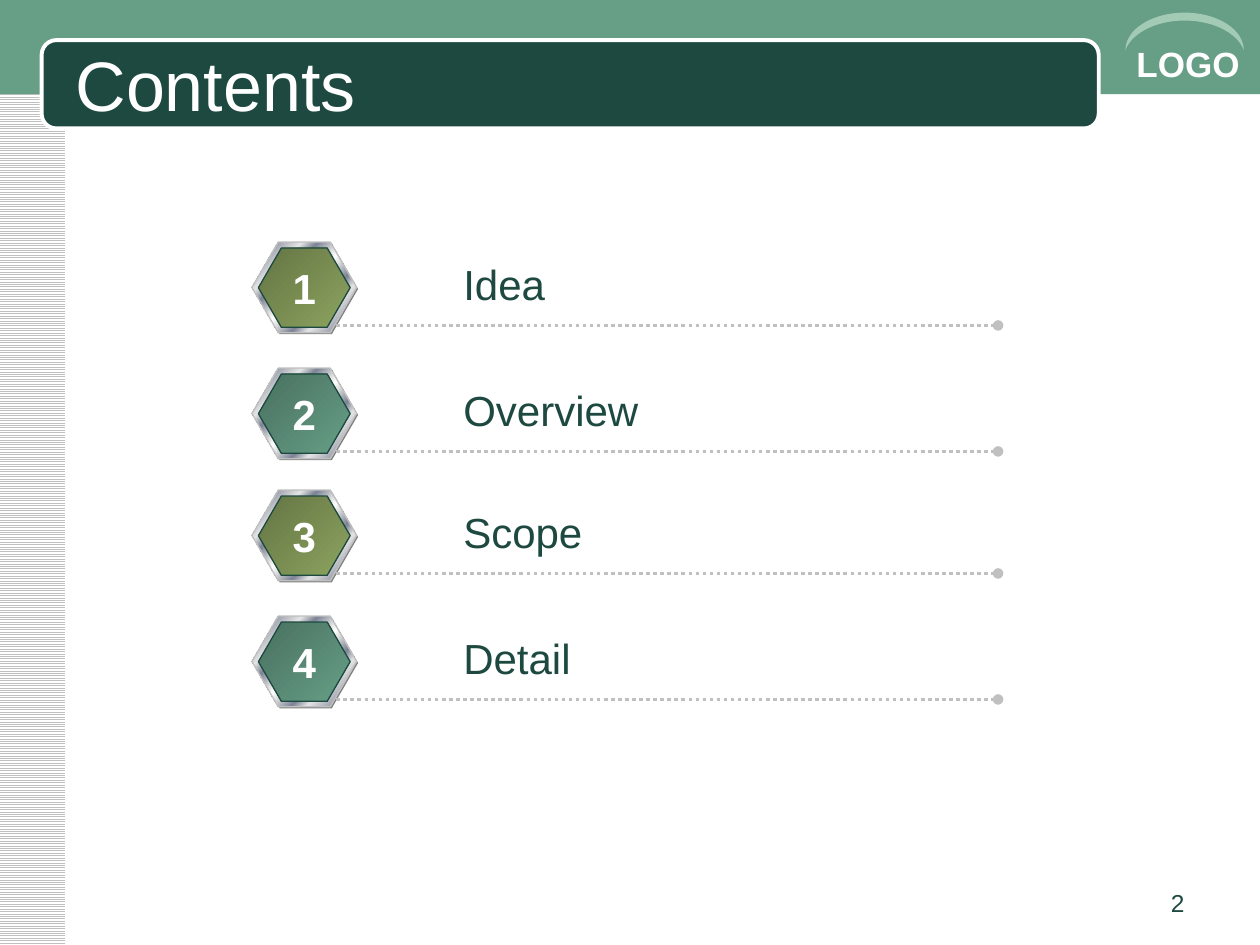
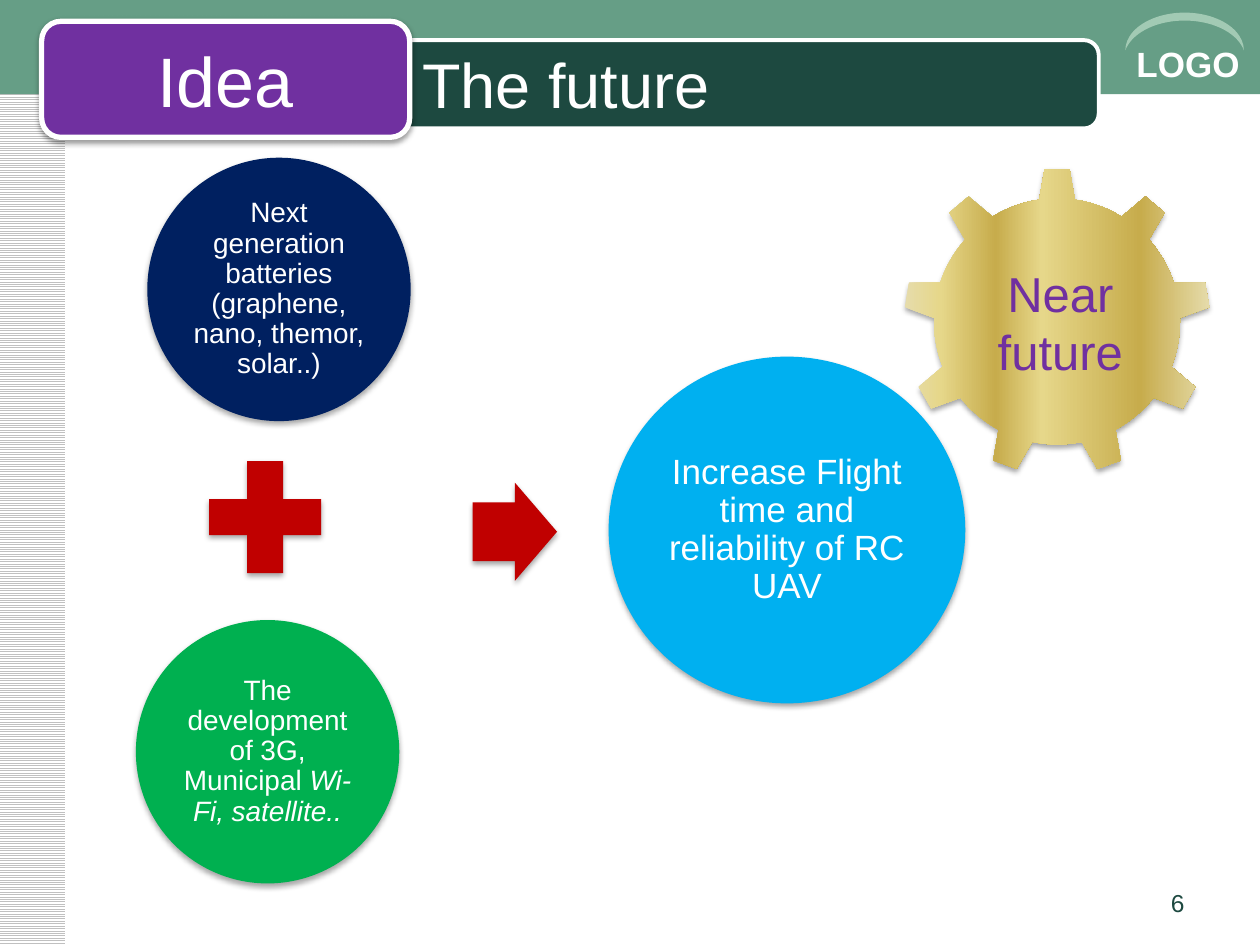
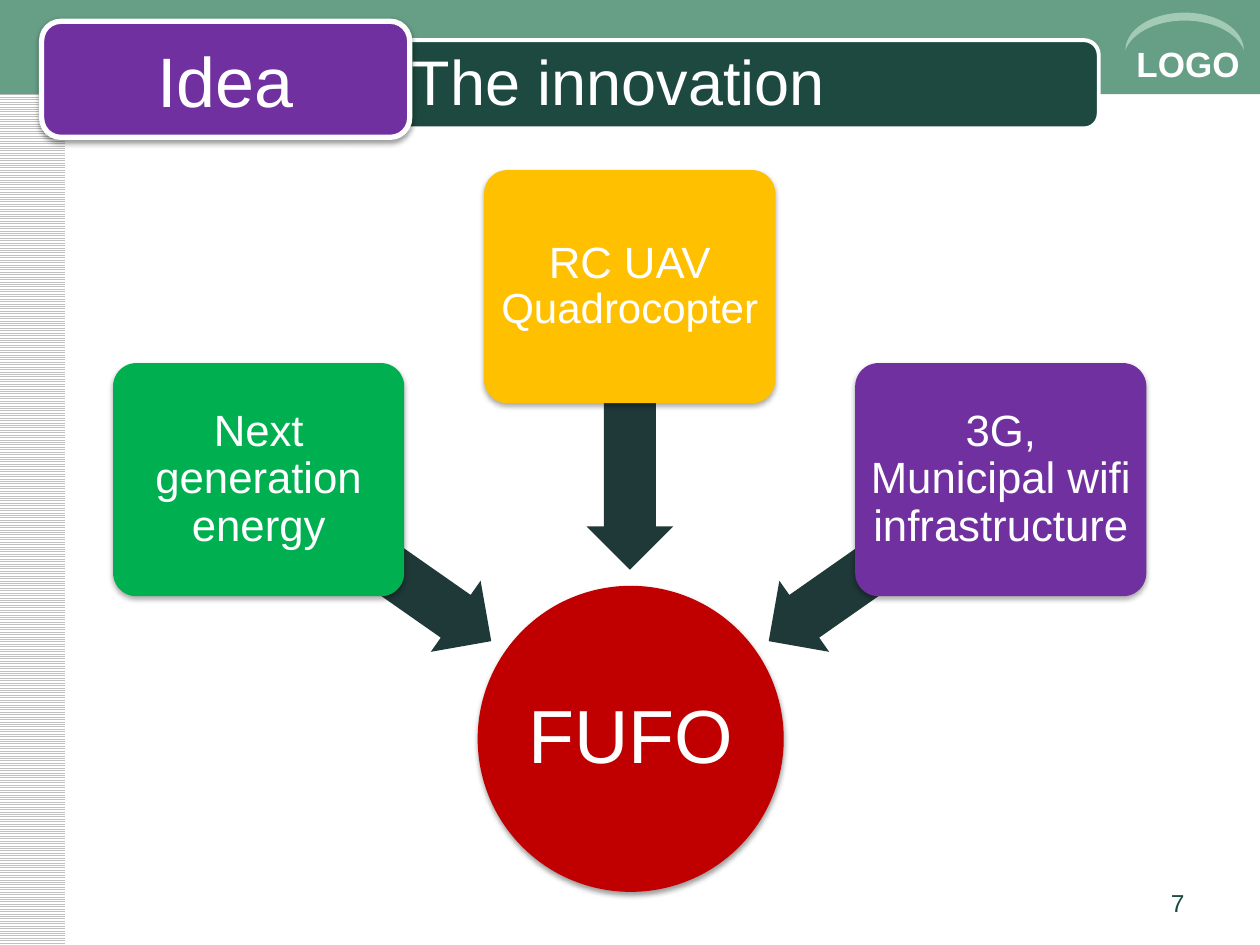
from pptx import Presentation
from pptx.dml.color import RGBColor
from pptx.enum.dml import MSO_LINE as Dash, MSO_PATTERN as Pat
from pptx.enum.shapes import MSO_CONNECTOR as Link, MSO_SHAPE as Kind
from pptx.enum.text import MSO_ANCHOR as Anchor, MSO_AUTO_SIZE as Auto, PP_ALIGN as Align
from pptx.oxml.ns import qn
from pptx.util import Cm, Pt
from lxml.etree import SubElement as Sub

WHITE, DARK, SAGE, MINT, GREY = "FFFFFF", "1D4940", "669E86", "A2CAB4", "C0C0C0"
PURPLE, RED, GREEN, SLATE = "7030A0", "C00000", "00B050", "1F3938"
STEEL = [(0, "E6E6E6"), (8, "7D8496"), (26, "E6E6E6"), (34, "7D8496"),
         (46, "E6E6E6"), (50, WHITE), (54, "E6E6E6"), (66, "7D8496"),
         (74, "E6E6E6"), (92, "7D8496"), (100, "E6E6E6")]
GOLD = [(0, "E6DCAC"), (12, "E6D78A"), (30, "C7AC4C"), (45, "E6D78A"),
        (77, "C7AC4C"), (100, "E6DCAC")]
FACES = [[(0, "647544"), (100, "8CA35F")], [(0, "497160"), (100, SAGE)]]

TOPICS = [("Idea", 4.88), ("Overview", 7.42), ("Scope", 9.88), ("Detail", 12.42)]
PARTS = [
    (Kind.OVAL, (2.97, 3.18, 5.31, 5.31), "002060", 16,
     "Next generation batteries (graphene, nano, themor, solar..)"),
    (Kind.OVAL, (12.27, 7.19, 7.19, 6.99), "00B0F0", 20,
     "Increase Flight time and reliability of RC UAV"),
    (Kind.MATH_PLUS, (3.81, 8.89, 3.07, 3.07), RED, 16, ""),
    (Kind.OVAL, (2.74, 12.5, 5.31, 5.31), GREEN, 16,
     [("The development of 3G, Municipal ", {}),
      ("Wi-Fi, satellite..", {"italic": True})]),
    (Kind.RIGHT_ARROW, (9.53, 9.73, 1.7, 1.98), RED, 16, ""),
]
CARDS = [
    ("Next generation energy", GREEN, 7.32, 10.41, 215),
    ([("RC UAV ", {}), ("Quadrocopter", {"size": Pt(24)})], "FFC000", 3.43, 7.75, 270),
    ("3G, Municipal wifi infrastructure", PURPLE, 7.32, 10.41, 325),
]


def hue(code):
    return RGBColor.from_string(code)


def write(frame, text, size, color=WHITE, align=Align.LEFT, anchor=Anchor.TOP,
          wrap=True, pad=None, gap=None, **more):
    look = {"auto_size": Auto.NONE, "word_wrap": wrap, "vertical_anchor": anchor}
    if pad is not None:
        look |= {"margin_" + side: Cm(pad) for side in ("left", "top", "right", "bottom")}
    for key, val in look.items():
        setattr(frame, key, val)
    para = frame.paragraphs[0]
    para.alignment, para.line_spacing = align, gap
    for words, extra in [(text, {})] if isinstance(text, str) else text:
        run = para.add_run()
        run.text = words
        run.font.color.rgb = hue(color)
        for key, val in ({"name": "Arial", "size": Pt(size)} | more | extra).items():
            setattr(run.font, key, val)


def label(slide, box, text, size, **look):
    item = slide.shapes.add_textbox(*map(Cm, box))
    write(item.text_frame, text, size, **look)
    return item


def blend(item, stops, angle):
    item.fill.gradient()
    item.fill.gradient_angle = angle
    rows = item.element.spPr.find(".//" + qn("a:gsLst"))
    for old in list(rows):
        rows.remove(old)
    for place, code in stops:
        stop = Sub(rows, qn("a:gs"), pos=str(place * 1000))
        Sub(stop, qn("a:srgbClr"), val=code)


def shade(item, alpha, dist):
    root = item.element.spPr.find(qn("a:effectLst"))
    cast = Sub(root, qn("a:outerShdw"), blurRad="40000", dist=str(dist),
               dir="5400000", rotWithShape="0")
    tone = Sub(cast, qn("a:srgbClr"), val="000000")
    Sub(tone, qn("a:alpha"), val=str(alpha * 1000))


def put(slide, kind, box, fill, edge=None, adj=None, turn=0, angle=0, cast=None):
    item = slide.shapes.add_shape(kind, *map(Cm, box))
    item.rotation = turn
    if adj is not None:
        item.adjustments[0] = adj
    if isinstance(fill, str):
        item.fill.solid()
        item.fill.fore_color.rgb = hue(fill)
    else:
        blend(item, fill, angle)
    if edge:
        item.line.color.rgb, item.line.width = hue(edge[0]), Pt(edge[1])
    else:
        item.line.fill.background()
    item.shadow.inherit = False
    if cast:
        shade(item, *cast)
    return item


SOFT, DEEP = (35, 23000), (38, 20000)
MID = {"align": Align.CENTER, "anchor": Anchor.MIDDLE}
SNUG = MID | {"pad": 0.05, "gap": 0.9}


def frame(deck, slide):
    """Build the shared bands on a slide and move them to the master."""
    side = put(slide, Kind.RECTANGLE, (-0.03, 0, 1.35, 19.05), WHITE)
    side.fill.patterned()
    side.fill.pattern = Pat.LIGHT_HORIZONTAL
    side.fill.fore_color.rgb, side.fill.back_color.rgb = hue(GREY), hue(WHITE)
    band = put(slide, Kind.RECTANGLE, (0, 0, 25.43, 1.9), SAGE)
    bar = put(slide, Kind.ROUNDED_RECTANGLE, (0.84, 0.81, 21.31, 1.78), DARK, (WHITE, 2.25))
    mark = label(slide, (22.66, 0.74, 2.74, 1.09), "LOGO", 20, bold=True)
    arc = put(slide, Kind.MOON, (23.5, -0.56, 0.76, 2.39), MINT, adj=0.21, turn=90)
    tree = deck.slide_master.shapes.element
    for spot, item in enumerate((side, band, bar, mark, arc), 2):
        tree.insert(spot, item.element)


def start(deck, title, page, box, size):
    slide = deck.slides.add_slide(deck.slide_layouts[5])
    head = slide.shapes.title
    for key, val in zip(("left", "top", "width", "height"), box):
        setattr(head, key, Cm(val))
    write(head.text_frame, title, size, anchor=Anchor.MIDDLE)
    label(slide, (18.21, 17.78, 5.92, 0.89), page, 14, color=DARK, align=Align.RIGHT)
    return slide


def tag(slide):
    item = put(slide, Kind.ROUNDED_RECTANGLE, (0.84, 0.43, 7.42, 2.34), PURPLE,
               (WHITE, 3), cast=DEEP)
    write(item.text_frame, "Idea", 40, **MID)


def dots(slide, left, right, top):
    line = slide.shapes.add_connector(Link.STRAIGHT, *map(Cm, (left, top, right, top)))
    line.line.color.rgb, line.line.width = hue(GREY), Pt(2)
    line.line.dash_style = Dash.ROUND_DOT
    props = line.element.spPr
    Sub(props.find(qn("a:ln")), qn("a:tailEnd"), type="oval")
    Sub(props, qn("a:effectLst"))


def contents(deck):
    slide = start(deck, "Contents", "2", (1.27, 0.89, 20.52, 1.57), 40)
    frame(deck, slide)
    for num, (topic, top) in enumerate(TOPICS):
        layers = [(0.03, 0.03, 2.11, 1.83, "808080", None),
                  (0, 0, 2.11, 1.83, STEEL, (GREY, 0.75)),
                  (0.13, 0.12, 1.85, 1.6, FACES[num % 2], (DARK, 0.75))]
        for x, y, wide, high, fill, edge in layers:
            hexa = put(slide, Kind.HEXAGON, (5.08 + x, top + y, wide, high), fill, edge,
                       adj=0.29, angle=315)
        write(hexa.text_frame, str(num + 1), 24, wrap=False, pad=0, bold=True, **MID)
        dots(slide, 6.78, 20.12, top + 1.68)
        label(slide, (9.09, top + 0.2, 5, 1.27), topic, 24, color=DARK)


def future(deck):
    slide = start(deck, "The future", "6", (8.26, 0.89, 13.54, 1.57), 36)
    for kind, box, fill, size, text in PARTS:
        adj = 0.6 if kind == Kind.RIGHT_ARROW else None
        item = put(slide, kind, box, fill, adj=adj, cast=SOFT)
        if text:
            write(item.text_frame, text, size, **SNUG)
    put(slide, Kind.GEAR_9, (18.21, 3.38, 6.2, 6.2), GOLD, cast=SOFT)
    label(slide, (19.05, 5.18, 4.65, 2.64), "Near future", 28, color=PURPLE,
          align=Align.CENTER)
    tag(slide)


def novelty(deck):
    slide = start(deck, "The innovation", "7", (8.05, 0.84, 13.54, 1.57), 36)
    core = put(slide, Kind.OVAL, (9.63, 11.81, 6.17, 6.17), RED, cast=DEEP)
    write(core.text_frame, "FUFO", 43, **SNUG)
    for num, (text, fill, top, low, turn) in enumerate(CARDS):
        put(slide, Kind.LEFT_ARROW, (4.7 + 5.14 * num, low, 5.72, 1.75), SLATE,
            adj=0.6, turn=turn)
        card = put(slide, Kind.ROUNDED_RECTANGLE, (2.28 + 7.48 * num, top, 5.87, 4.7),
                   fill, adj=0.1, cast=SOFT)
        write(card.text_frame, text, 25, **(SNUG | {"pad": 0.12}))
    tag(slide)


def main():
    deck = Presentation()
    deck.slide_width, deck.slide_height = Cm(25.4), Cm(19.05)
    for build in (contents, future, novelty):
        build(deck)
    deck.save("out.pptx")


if __name__ == "__main__":
    main()
